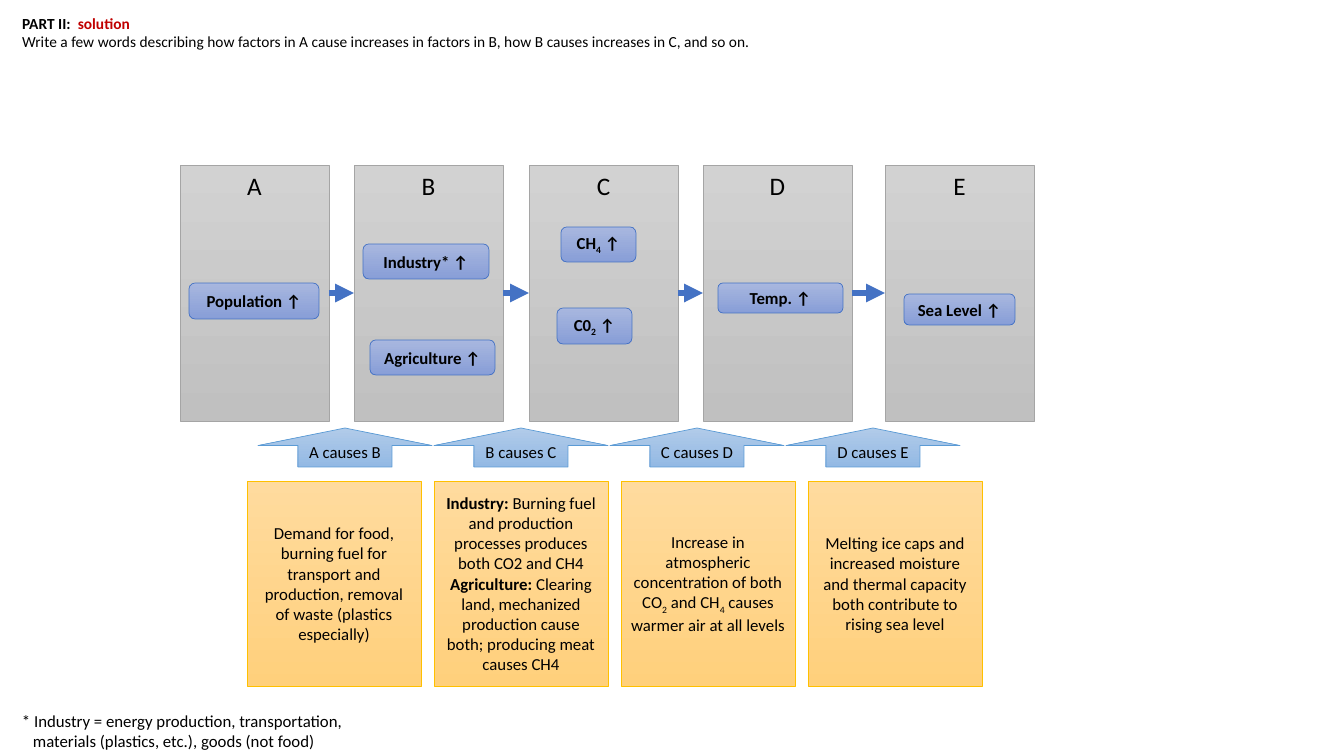
import pptx
import pptx.dml.color
import pptx.enum.shapes
import pptx.enum.text
import pptx.oxml
import pptx.oxml.ns
import pptx.util

SHAPE = pptx.enum.shapes.MSO_SHAPE
ALIGN = pptx.enum.text.PP_ALIGN
ANCHOR = pptx.enum.text.MSO_ANCHOR

# Each palette: gradient top, gradient bottom, outline
GREY = ("D2D2D2", "C0C0C0", "A5A5A5")
INDIGO = ("A8B7DF", "889ED7", "4472C4")
SKY = ("B1CBE9", "93B9E4", "5B9BD5")
AMBER = ("FFDB9E", "FFD07C", "FFC000")

COLUMN_WIDTH, COLUMN_HEIGHT = 149, 256
# Each column: letter, left, factors (text pieces, box inside the column)
COLUMNS = [
    ("A", 180, [(["Population ↑"], (9, 118, 130, 36))]),
    ("B", 354, [(["Industry* ↑"], (9, 79, 126, 35)),
                (["Agriculture ↑"], (16, 175, 125, 35))]),
    ("C", 529, [(["CH", ("4", "sub"), " ↑"], (32, 62, 75, 35)),
                (["C0", ("2", "sub"), " ↑"], (28, 143, 75, 36))]),
    ("D", 703, [(["Temp. ↑"], (15, 118, 125, 30))]),
    ("E", 885, [(["Sea Level ↑"], (19, 129, 111, 31))]),
]

# Each explanation: paragraphs made of text pieces
CAUSES = [
    ("A causes B", [["Demand for food, burning fuel for transport and production, "
                     "removal of waste (plastics especially)"]]),
    ("B causes C", [[("Industry: ", "bold"),
                     "Burning fuel and production processes produces both CO2 and CH4"],
                    [("Agriculture: ", "bold"),
                     "Clearing land, mechanized production cause both; "
                     "producing meat causes CH4"]]),
    ("C causes D", [["Increase in atmospheric concentration of both CO", ("2", "sub"),
                     " and CH", ("4", "sub"), " causes warmer air at all levels"]]),
    ("D causes E", [["Melting ice caps and increased moisture and thermal capacity "
                     "both contribute to rising sea level"]]),
]


def px(length):
    return pptx.util.Emu(round(length * 914400 / 100.8))


def color(value):
    return pptx.dml.color.RGBColor.from_string(value)


def write(shape, paragraphs, size=12, bold=False, align=ALIGN.CENTER, anchor=ANCHOR.MIDDLE):
    """Fill a shape with paragraphs whose pieces are plain text or (text, style)."""
    frame = shape.text_frame
    frame.word_wrap = True
    frame.vertical_anchor = anchor
    for index, pieces in enumerate(paragraphs):
        paragraph = frame.add_paragraph() if index else frame.paragraphs[0]
        paragraph.alignment = align
        paragraph.font.name = "Calibri"
        paragraph.font.size = pptx.util.Pt(size)
        paragraph.font.bold = bold
        paragraph.font.color.rgb = color("000000")
        for piece in pieces:
            text, style = (piece, "") if isinstance(piece, str) else piece
            run = paragraph.add_run()
            run.text = text
            if style == "sub":
                run._r.get_or_add_rPr().set("baseline", "-25000")
            elif style:
                run.font.bold = True
                if style == "red":
                    run.font.color.rgb = color("C00000")


def add_panel(slide, kind, box, palette):
    shape = slide.shapes.add_shape(kind, *map(px, box))
    shape.shadow.inherit = False
    top, bottom, outline = palette
    shape.fill.gradient()
    shape.fill.gradient_angle = 270
    for stop, value in zip(shape.fill.gradient_stops, (top, bottom)):
        stop.color.rgb = color(value)
    shape.line.color.rgb = color(outline)
    shape.line.width = pptx.util.Pt(0.5)
    return shape


def add_heading(slide, box):
    title = slide.shapes.title
    title.left, title.top, title.width, title.height = map(px, box)
    title.text_frame.auto_size = pptx.enum.text.MSO_AUTO_SIZE.NONE
    write(title, [[("PART II:  ", "bold"), ("solution", "red")],
                  ["Write a few words describing how factors in A cause increases in "
                   "factors in B, how B causes increases in C, and so on."]],
          size=11, align=ALIGN.LEFT, anchor=ANCHOR.TOP)


def add_column(slide, box, letter, factors):
    left, top = box[:2]
    column = add_panel(slide, SHAPE.RECTANGLE, box, GREY)
    write(column, [[letter]], size=18, anchor=ANCHOR.TOP)
    for pieces, (x, y, width, height) in factors:
        chip = add_panel(slide, SHAPE.ROUNDED_RECTANGLE,
                         (left + x, top + y, width, height), INDIGO)
        write(chip, [pieces], bold=True)


def add_arrow(slide, start, end, y):
    arrow = slide.shapes.add_connector(pptx.enum.shapes.MSO_CONNECTOR.STRAIGHT,
                                       px(start), px(y), px(end), px(y))
    arrow.line.color.rgb = color("4472C4")
    arrow.line.width = pptx.util.Pt(4.5)
    tail = pptx.oxml.parse_xml(
        f'<a:tailEnd {pptx.oxml.ns.nsdecls("a")} type="triangle"/>')
    arrow.line._get_or_add_ln().append(tail)
    arrow._element.spPr.append(
        pptx.oxml.parse_xml(f'<a:effectLst {pptx.oxml.ns.nsdecls("a")}/>'))


def add_chain(slide, top):
    """Place the factor columns and the arrows that join them."""
    for letter, left, factors in COLUMNS:
        add_column(slide, (left, top, COLUMN_WIDTH, COLUMN_HEIGHT), letter, factors)
    lefts = [left for _, left, _ in COLUMNS]
    for left, next_left in zip(lefts, lefts[1:]):
        add_arrow(slide, left + COLUMN_WIDTH, next_left, top + COLUMN_HEIGHT // 2)


def add_causes(slide, left, top):
    """Place a labelled up arrow over each explanation card."""
    for index, (label, explanation) in enumerate(CAUSES):
        pointer = add_panel(slide, SHAPE.UP_ARROW,
                            (left + 11 + 176 * index, top, 174, 39), SKY)
        pointer.adjustments[0] = 0.54
        pointer.adjustments[1] = 0.45
        write(pointer, [[label]])
        card = add_panel(slide, SHAPE.RECTANGLE,
                         (left + 187 * index, top + 53, 174, 205), AMBER)
        write(card, explanation)


def add_footnote(slide, box):
    note = slide.shapes.add_textbox(*map(px, box))
    write(note, [["* Industry = energy production, transportation,"],
                 ["materials (plastics, etc.), goods (not food)"]],
          align=ALIGN.LEFT, anchor=ANCHOR.TOP)
    note.text_frame.paragraphs[1]._p.get_or_add_pPr().set("marL", str(px(11)))


def main():
    presentation = pptx.Presentation()
    presentation.slide_width, presentation.slide_height = px(1344), px(756)
    slide = presentation.slides.add_slide(presentation.slide_layouts[5])
    add_heading(slide, (12, 9, 958, 47))
    add_chain(slide, top=165)
    add_causes(slide, left=247, top=428)
    add_footnote(slide, (12, 706, 353, 50))
    presentation.save("out.pptx")


if __name__ == "__main__":
    main()
